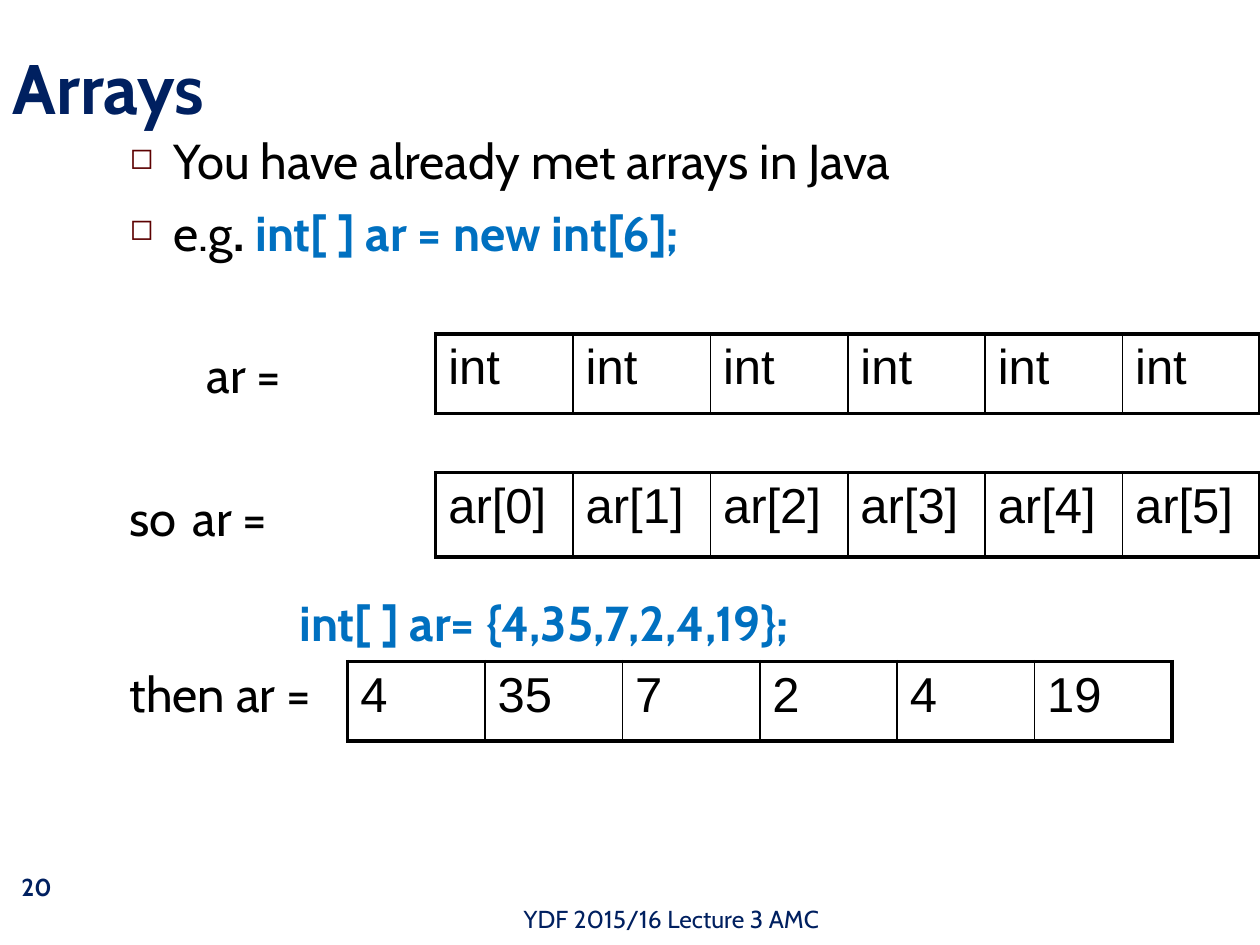
import pptx
import pptx.util
import pptx.dml.color
import pptx.enum.text
import pptx.oxml
import pptx.oxml.ns
from lxml import etree

Pt = pptx.util.Pt
ALIGN = pptx.enum.text.PP_ALIGN
MIDDLE = pptx.enum.text.MSO_ANCHOR.MIDDLE
COLORS = {"navy": "002060", "blue": "0070C0", "black": "000000", "maroon": "5C0000"}
NAMESPACE = pptx.oxml.ns.nsdecls("a")


def add_span(para, text, size, color, bold=False, font="Cabin"):
    span = para.add_run()
    span.text = text
    span.font.name = font
    span.font.size = Pt(size)
    span.font.bold = bold
    span.font.color.rgb = pptx.dml.color.RGBColor.from_string(COLORS[color])


def set_border(cell, side, width):
    properties = cell._tc.get_or_add_tcPr()
    line = etree.SubElement(properties, pptx.oxml.ns.qn(f"a:{side}"), w=str(Pt(width)))
    fill = etree.SubElement(line, pptx.oxml.ns.qn("a:solidFill"))
    etree.SubElement(fill, pptx.oxml.ns.qn("a:srgbClr"), val=COLORS["black"])


deck = pptx.Presentation()
deck.slide_width, deck.slide_height = Pt(720), Pt(540)
page = deck.slides.add_slide(deck.slide_layouts[5])

title = page.shapes.title
title.left, title.top, title.width, title.height = Pt(0), Pt(21.6), Pt(648), Pt(55.4)
title.text_frame.vertical_anchor = MIDDLE
title.text_frame.paragraphs[0].alignment = ALIGN.LEFT
add_span(title.text_frame.paragraphs[0], "Arrays", 40, "navy", True)

footers = [
    ("YDF 2015/16 Lecture 3 AMC", 48.2, 510.5, 427, 28.8, ALIGN.RIGHT, False),
    ("20", 0, 491.8, 41.8, 30.2, ALIGN.CENTER, True),
]
for text, left, top, width, height, alignment, bold in footers:
    box = page.shapes.add_textbox(Pt(left), Pt(top), Pt(width), Pt(height))
    box.text_frame.word_wrap = True
    box.text_frame.vertical_anchor = MIDDLE
    para = box.text_frame.paragraphs[0]
    para.alignment = alignment
    add_span(para, text, 14, "navy", bold)

body = page.shapes.add_textbox(Pt(67), Pt(71.3), Pt(653), Pt(411))
body.text_frame.word_wrap = True
bullet_indent = 25.2
tab_stop = 45.5
lines = [
    (0, bullet_indent, True, [("You have already met arrays in Java", "black", False)]),
    (7, bullet_indent, True, [("e.g", "black", False), (". ", "black", True),
                              ("int[ ] ar = new int[6];", "blue", True)]),
    (48, 44, False, [("ar =", "black", False)]),
    (48, 0, False, [("so\tar =", "black", False)]),
    (26, 97, False, [("int[ ] ar= {4,35,7,2,4,19};", "blue", True)]),
    (7, 0, False, [("then ar =", "black", False)]),
]
for index, (space, indent, bulleted, spans) in enumerate(lines):
    para = body.text_frame.add_paragraph() if index else body.text_frame.paragraphs[0]
    para.space_before = Pt(space)
    properties = para._p.get_or_add_pPr()
    properties.set("marL", str(Pt(indent)))
    properties.set("indent", str(Pt(-bullet_indent) if bulleted else 0))
    if bulleted:
        details = [
            f'<a:buClr {NAMESPACE}><a:srgbClr val="{COLORS["maroon"]}"/></a:buClr>',
            f'<a:buSzPct {NAMESPACE} val="60000"/>',
            f'<a:buChar {NAMESPACE} char="◻"/>',
        ]
    else:
        details = [
            f'<a:buNone {NAMESPACE}/>',
            f'<a:tabLst {NAMESPACE}><a:tab pos="{Pt(tab_stop)}" algn="l"/></a:tabLst>',
        ]
    for detail in details:
        properties.append(pptx.oxml.parse_xml(detail))
    for text, color, bold in spans:
        add_span(para, text, 28, color, bold)

cell_width = 78.5
arrays = [
    (249, 190.8, 45.4, ["int"] * 6),
    (249, 270, 48.2, [f"ar[{index}]" for index in range(6)]),
    (198.7, 378, 45.4, ["4", "35", "7", "2", "4", "19"]),
]
for left, top, height, values in arrays:
    count = len(values)
    table = page.shapes.add_table(1, count, Pt(left), Pt(top),
                                  Pt(cell_width * count), Pt(height)).table
    table.first_row = False
    table.horz_banding = False
    for index, value in enumerate(values):
        table.columns[index].width = Pt(cell_width)
        cell = table.cell(0, index)
        add_span(cell.text_frame.paragraphs[0], value, 28, "black", font="Arial")
        set_border(cell, "lnL", 2.25 if index == 0 else 1)
        set_border(cell, "lnR", 2.25 if index == count - 1 else 1)
        set_border(cell, "lnT", 2.25)
        set_border(cell, "lnB", 2.25)
        cell.fill.background()

deck.save("out.pptx")
